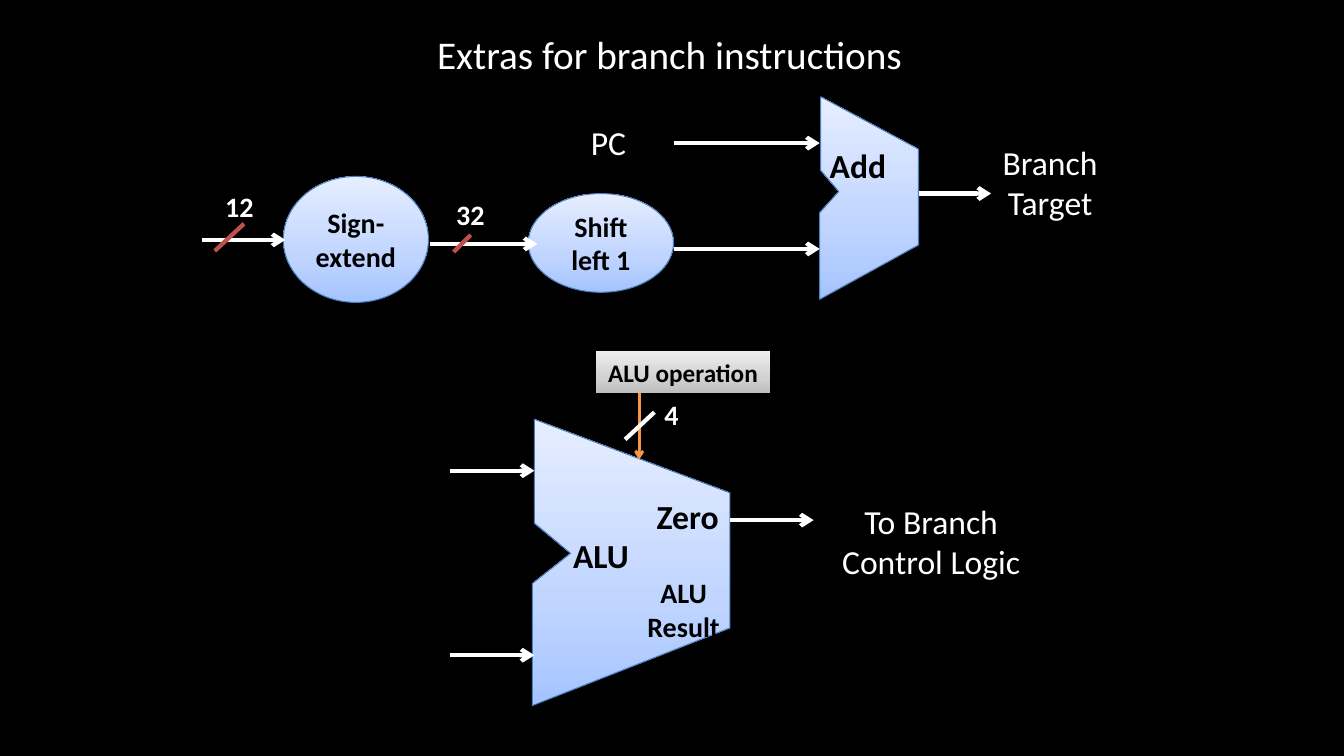
from dataclasses import dataclass
from lxml import etree
from pptx import Presentation
from pptx.dml.color import RGBColor
from pptx.enum.shapes import MSO_CONNECTOR, MSO_SHAPE
from pptx.enum.text import MSO_ANCHOR, PP_ALIGN
from pptx.oxml.ns import qn
from pptx.util import Inches, Pt

LINE = MSO_CONNECTOR.STRAIGHT
OVAL, RECT = MSO_SHAPE.OVAL, MSO_SHAPE.RECTANGLE
MIDDLE, CENTER = MSO_ANCHOR.MIDDLE, PP_ALIGN.CENTER


@dataclass(frozen=True)
class Theme:
    """Colours, font and type sizes of the slide."""
    font: str = "Calibri"
    back: str = "000000"
    ink: str = "000000"
    light: str = "FFFFFF"
    edge: str = "4B7EBC"
    slash: str = "C0504D"
    signal: str = "F79646"
    blue: tuple = ("A4C4FF", "BFD4FF", "E6EEFF")
    gray: tuple = ("BDBDBD", "D1D1D1", "EEEEEE")
    stops: tuple = (0, 35000, 100000)
    title: int = 28
    large: int = 24
    mid: int = 20
    small: int = 18


T = Theme()


def rgb(code):
    """Turn a hex code into a colour."""
    return RGBColor.from_string(code)


def assign(item, values):
    """Set each attribute named in a dict."""
    for name, value in values.items():
        setattr(item, name, value)


def write(shape, text, size, color, bold=False, wrap=True):
    """Put centred text into a shape."""
    frame = shape.text_frame
    frame.text = text
    assign(frame, {"word_wrap": wrap, "vertical_anchor": MIDDLE})
    para = frame.paragraphs[0]
    para.alignment = CENTER
    font = para.runs[0].font
    assign(font, {"name": T.font, "size": Pt(size), "bold": bold})
    font.color.rgb = rgb(color)


def paint(shape, colors, edge=None):
    """Give a shape an upward gradient and an optional outline."""
    shape.shadow.inherit = False
    shape.fill.gradient()
    shape.fill.gradient_angle = 90
    stops = shape._element.spPr.find(qn("a:gradFill")).find(qn("a:gsLst"))
    for old in list(stops):
        stops.remove(old)
    for place, color in zip(T.stops, colors):
        stop = etree.SubElement(stops, qn("a:gs"), pos=str(place))
        etree.SubElement(stop, qn("a:srgbClr"), val=color)
    if edge:
        shape.line.color.rgb = rgb(edge)
        shape.line.width = Pt(0.75)
    else:
        shape.line.fill.background()


@dataclass
class Region:
    """Draws parts at offsets from the corner of a box."""
    shapes: object
    left: float
    top: float

    def place(self, x, y):
        """Convert an offset to a slide position."""
        return Inches(self.left + x), Inches(self.top + y)

    def node(self, kind, box, text, size, colors, edge=None):
        """Draw a preset shape with bold text."""
        x, y, w, h = box
        shape = self.shapes.add_shape(kind, *self.place(x, y), Inches(w), Inches(h))
        paint(shape, colors, edge)
        write(shape, text, size, T.ink, True)

    def wedge(self, points):
        """Draw a notched arithmetic unit."""
        start, *rest = [self.place(*point) for point in points]
        pen = self.shapes.build_freeform(*start)
        pen.add_line_segments(rest, close=True)
        paint(pen.convert_to_shape(), T.blue, T.edge)

    def label(self, box, text, size=T.large, color=T.light, bold=False):
        """Draw a text box that wraps only between words."""
        x, y, w, h = box
        shape = self.shapes.add_textbox(*self.place(x, y), Inches(w), Inches(h))
        write(shape, text, size, color, bold, " " in text)

    def wire(self, ends, color=T.light, width=3, head=True):
        """Draw a line, with an arrowhead unless it is a slash."""
        x1, y1, x2, y2 = ends
        line = self.shapes.add_connector(LINE, *self.place(x1, y1), *self.place(x2, y2))
        line.line.color.rgb = rgb(color)
        line.line.width = Pt(width)
        props = line._element.spPr
        if head:
            etree.SubElement(props.find(qn("a:ln")), qn("a:tailEnd"), type="arrow")
        etree.SubElement(props, qn("a:effectLst"))


def heading(slide, box):
    """Fill the title placeholder."""
    title = slide.shapes.title
    assign(title, dict(zip(("left", "top", "width", "height"), map(Inches, box))))
    write(title, "Extras for branch instructions", T.title, T.light)


def target(slide, left, top):
    """Draw the branch target path."""
    area = Region(slide.shapes, left, top)
    area.wedge([(6.14, 0), (6.14, 0.73), (6.32, 0.94), (6.13, 1.15),
                (6.13, 2.01), (7.11, 1.47), (7.11, 0.52)])
    for box, text in (((0.81, 0.79, 1.44, 1.25), "Sign-extend"),
                      ((3.24, 0.96, 1.44, 0.98), "Shift left 1")):
        area.node(OVAL, box, text, T.mid, T.blue, T.edge)
    for ends in ((0, 1.42, 0.83, 1.42), (2.26, 1.46, 3.33, 1.46),
                 (4.68, 0.46, 6.13, 0.46), (4.68, 1.51, 6.13, 1.51),
                 (7.11, 0.96, 7.83, 0.96)):
        area.wire(ends)
    for ends in ((0.42, 1.26, 0.13, 1.53), (2.67, 1.37, 2.5, 1.54)):
        area.wire(ends, T.slash, head=False)
    area.label((0.13, 0.87, 0.49, 0.44), "12", T.mid, bold=True)
    area.label((2.42, 0.95, 0.49, 0.44), "32", T.mid, bold=True)
    area.label((3.38, 0.2, 1.31, 0.5), "PC")
    area.label((7.76, 0.39, 1.31, 0.91), "Branch Target")
    area.label((6.11, 0.43, 0.8, 0.5), "Add", color=T.ink, bold=True)


def compare(slide, left, top):
    """Draw the ALU that tests the branch condition."""
    area = Region(slide.shapes, left, top)
    area.wedge([(0.84, 0.68), (0.84, 1.71), (1.2, 2.01), (0.82, 2.31),
                (0.82, 3.52), (2.78, 2.75), (2.78, 1.41)])
    for ends in ((0, 1.19, 0.84, 1.19), (0, 3.02, 0.84, 3.02),
                 (2.78, 1.68, 3.61, 1.68)):
        area.wire(ends)
    area.wire((1.88, 0.41, 1.88, 1.08), T.signal, 2)
    area.node(RECT, (1.45, 0, 1.73, 0.42), "ALU operation", T.small, T.gray)
    area.wire((2.03, 0.61, 1.74, 0.88), head=False)
    area.label((2.03, 0.41, 0.34, 0.44), "4", T.mid, bold=True)
    area.label((3.6, 1.43, 2.35, 0.91), "To Branch Control Logic")
    for box, text, size in (((1.86, 1.39, 1, 0.5), "Zero", T.large),
                            ((1.1, 1.78, 0.8, 0.5), "ALU", T.large),
                            ((1.82, 2.19, 1, 0.75), "ALU Result", T.mid)):
        area.label(box, text, size, T.ink, True)


def main():
    """Build and save the slide."""
    deck = Presentation()
    assign(deck, {"slide_width": Inches(13.33), "slide_height": Inches(7.5)})
    slide = deck.slides.add_slide(deck.slide_layouts[5])
    fill = slide.background.fill
    fill.solid()
    fill.fore_color.rgb = rgb(T.back)
    heading(slide, (3.5, 0.25, 6.28, 0.57))
    target(slide, 2, 0.96)
    compare(slide, 4.46, 3.48)
    deck.save("out.pptx")


main()
